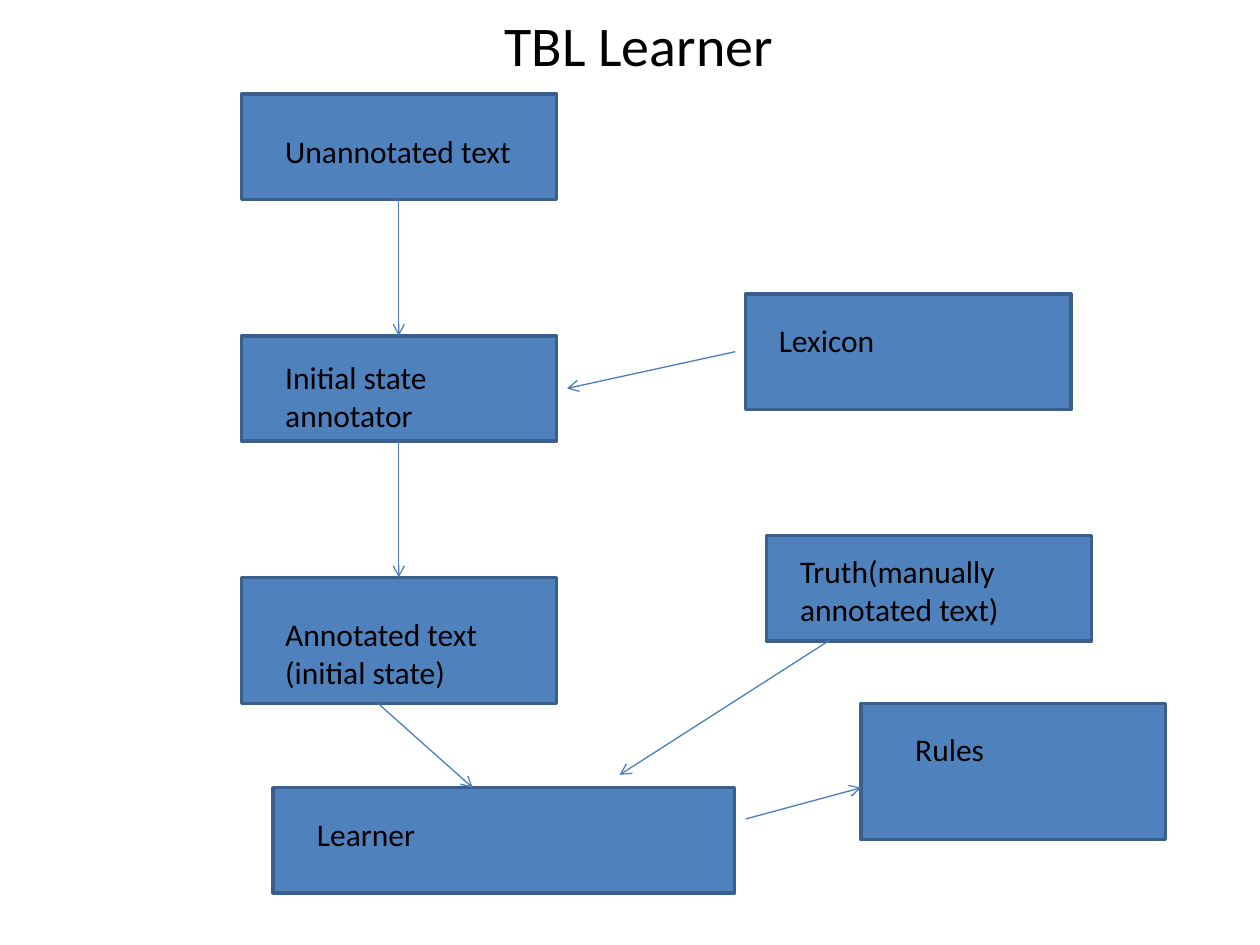
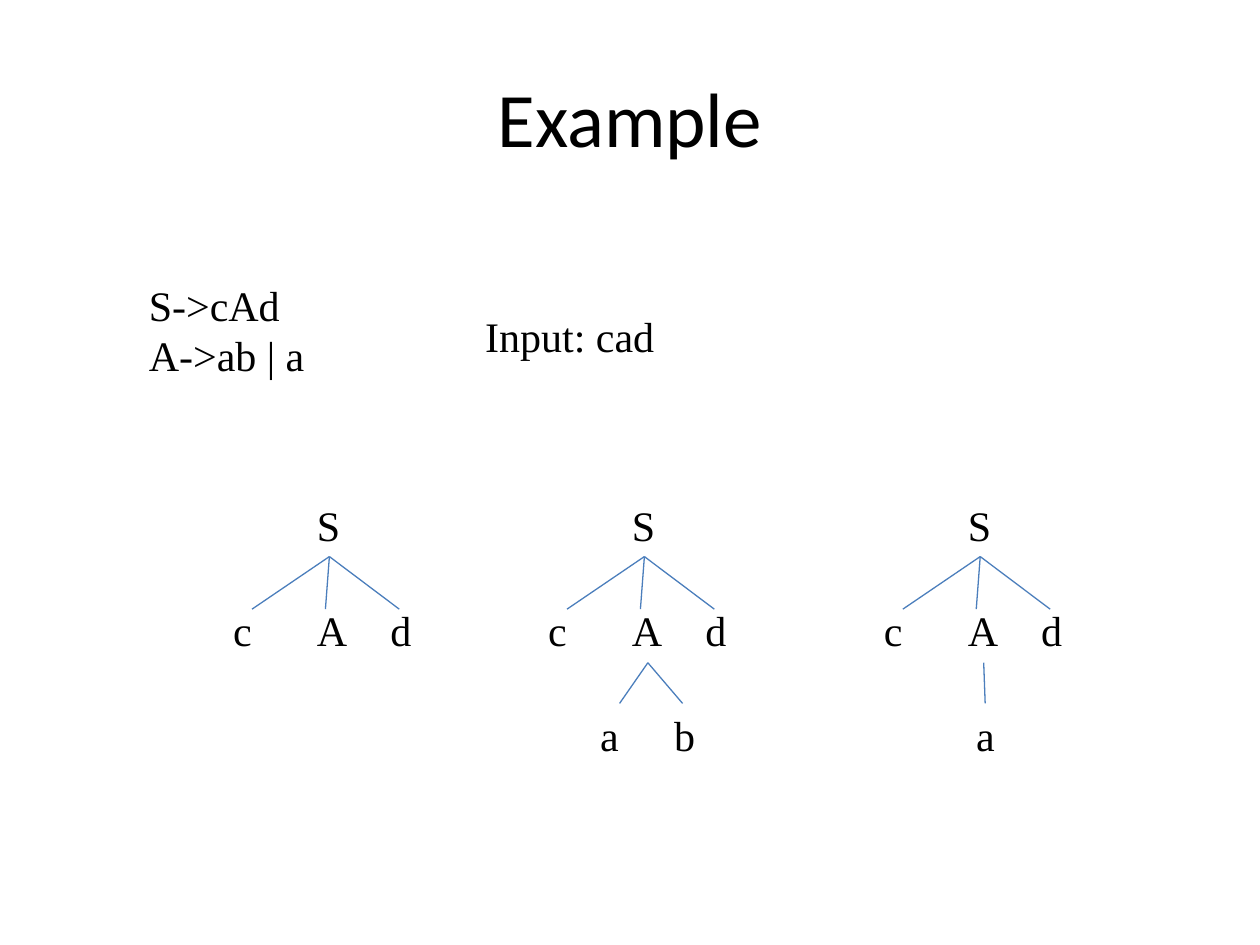
import pptx
import pptx.util
import pptx.dml.color
import pptx.enum.shapes
import pptx.enum.text
import pptx.oxml.ns
import lxml.etree

Cm = pptx.util.Cm
Pt = pptx.util.Pt
RGBColor = pptx.dml.color.RGBColor
BLACK = RGBColor(0x00, 0x00, 0x00)
BOX_FILL = RGBColor(0x4F, 0x81, 0xBD)
BOX_LINE = RGBColor(0x3A, 0x5F, 0x8C)
LINE = RGBColor(0x4B, 0x7E, 0xBC)
SANS = "Calibri"
SERIF = "Times New Roman"


def add_text(shapes, text, x, y, w, h, font, size, wrap):
    tf = shapes.add_textbox(Cm(x), Cm(y), Cm(w), Cm(h)).text_frame
    tf.word_wrap = wrap
    tf.auto_size = pptx.enum.text.MSO_AUTO_SIZE.SHAPE_TO_FIT_TEXT
    tf.text = text
    for p in tf.paragraphs:
        p.font.name = font
        p.font.size = Pt(size)
        p.font.color.rgb = BLACK


def add_line(shapes, x1, y1, x2, y2, arrow=False):
    straight = pptx.enum.shapes.MSO_CONNECTOR.STRAIGHT
    sp = shapes.add_connector(straight, Cm(x1), Cm(y1), Cm(x2), Cm(y2))
    sp.line.color.rgb = LINE
    sp.line.width = Pt(0.75)
    qn = pptx.oxml.ns.qn
    if arrow:
        lxml.etree.SubElement(sp.line._get_or_add_ln(), qn("a:tailEnd"), type="arrow")
    lxml.etree.SubElement(sp._element.spPr, qn("a:effectLst"))


prs = pptx.Presentation()
prs.slide_width = Cm(25.4)
prs.slide_height = Cm(19.05)

slides = []
for text, x, y, w, h, size in [
    ("TBL Learner", 1.45, 0, 22.86, 1.78, 32),
    ("Example", 1.27, 0.76, 22.86, 3.18, 44),
]:
    s = prs.slides.add_slide(prs.slide_layouts[5])
    sp = s.shapes.title
    sp.left, sp.top, sp.width, sp.height = Cm(x), Cm(y), Cm(w), Cm(h)
    tf = sp.text_frame
    tf.text = text
    tf.vertical_anchor = pptx.enum.text.MSO_ANCHOR.MIDDLE
    p = tf.paragraphs[0]
    p.alignment = pptx.enum.text.PP_ALIGN.CENTER
    p.font.name = SANS
    p.font.size = Pt(size)
    p.font.color.rgb = BLACK
    slides.append(s)
learner, example = slides

steps = [
    ("Unannotated text", (4.87, 1.9, 6.35, 2.12), (5.5, 2.54, 5.08, 1.07)),
    ("Initial state annotator", (4.87, 6.77, 6.35, 2.12), (5.5, 7.09, 5.08, 1.8)),
    ("Annotated text (initial state)", (4.87, 11.64, 6.35, 2.54), (5.5, 12.28, 5.08, 1.8)),
    ("Lexicon", (15.03, 5.93, 6.56, 2.33), (15.45, 6.35, 5.5, 1.02)),
    ("Truth(manually annotated text)", (15.45, 10.8, 6.56, 2.12), (15.88, 11.01, 5.72, 1.8)),
    ("Learner", (5.5, 15.88, 9.31, 2.12), (6.14, 16.3, 7.83, 1.07)),
    ("Rules", (17.36, 14.18, 6.14, 2.75), (18.2, 14.6, 4.66, 1.02)),
]
for text, box, label in steps:
    sp = learner.shapes.add_shape(
        pptx.enum.shapes.MSO_SHAPE.RECTANGLE, *[Cm(v) for v in box])
    sp.shadow.inherit = False
    sp.fill.solid()
    sp.fill.fore_color.rgb = BOX_FILL
    sp.line.color.rgb = BOX_LINE
    sp.line.width = Pt(2)
    add_text(learner.shapes, text, *label, SANS, 18, True)

for ends in [
    (8.04, 4.02, 8.04, 6.77),
    (8.04, 8.89, 8.04, 11.64),
    (7.62, 14.18, 9.53, 15.88),
    (16.72, 12.91, 12.49, 15.62),
    (15.03, 16.51, 17.36, 15.88),
    (14.82, 7.09, 11.43, 7.83),
]:
    add_line(learner.shapes, *ends, arrow=True)

add_text(example.shapes, "S->cAd\nA->ab | a", 2.75, 5.5, 3.68, 2.31, SERIF, 24, False)
add_text(example.shapes, "Input: cad", 9.53, 6.14, 3.96, 1.28, SERIF, 24, False)

ROOT_Y, CHILD_Y, LEAF_Y = 9.95, 12.07, 14.18
root_nodes = [
    ("S", 0, ROOT_Y, 0.99),
    ("c", -1.69, CHILD_Y, 0.89),
    ("A", 0, CHILD_Y, 1.14),
    ("d", 1.48, CHILD_Y, 0.94),
]
trees = [
    (6.14, [], []),
    (12.49, [("a", -0.64, LEAF_Y, 0.89), ("b", 0.85, LEAF_Y, 0.94)], [0, 1.27]),
    (19.26, [("a", 0.17, LEAF_Y, 0.89)], [0.6]),
]
for x, leaves, leaf_ends in trees:
    shapes = example.shapes.add_group_shape().shapes
    for text, dx, y, w in root_nodes + leaves:
        add_text(shapes, text, x + dx, y, w, 1.28, SERIF, 24, False)
    for dx in [-1.06, 0.42, 1.91]:
        add_line(shapes, x + 0.5, 11.22, x + dx, 12.28)
    for dx in leaf_ends:
        add_line(shapes, x + 0.57, 13.36, x + dx, 14.18)

prs.save("out.pptx")
